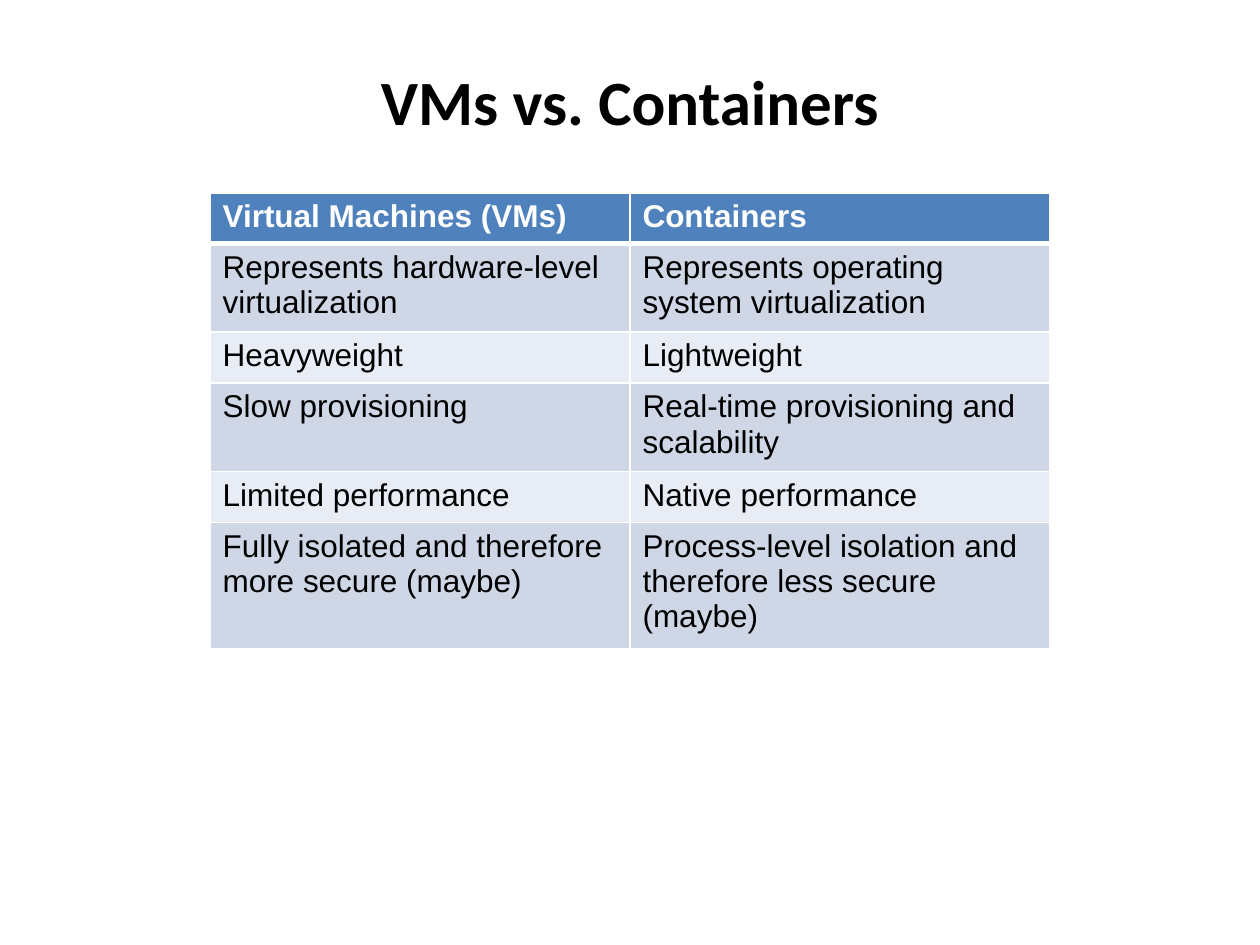
import pptx
import pptx.util
import pptx.dml.color
import pptx.enum.text
import pptx.oxml
import pptx.oxml.ns

WIDE, HIGH = 10, 7.5
WHITE, BLACK, BLUE = "FFFFFF", "000000", "4F81BD"
BANDS = ["CFD7E7", "E8ECF4"]
ROWS = [
    ("Virtual Machines (VMs)", "Containers"),
    ("Represents hardware-level virtualization",
     "Represents operating system virtualization"),
    ("Heavyweight", "Lightweight"),
    ("Slow provisioning", "Real-time provisioning and scalability"),
    ("Limited performance", "Native performance"),
    ("Fully isolated and therefore more secure (maybe)",
     "Process-level isolation and therefore less secure (maybe)"),
]


def tint(code):
    return pptx.dml.color.RGBColor.from_string(code)


def span(share, whole):
    return pptx.util.Inches(share * whole)


def write(para, text, face, size, code, bold):
    run = para.add_run()
    run.text = text
    font = run.font
    font.name, font.size, font.bold = face, pptx.util.Pt(size), bold
    font.color.rgb = tint(code)


def edge(cell, side, width):
    line = pptx.oxml.parse_xml(
        f'<a:ln{side} {pptx.oxml.ns.nsdecls("a")} w="{pptx.util.Pt(width)}">'
        f'<a:solidFill><a:srgbClr val="{WHITE}"/></a:solidFill></a:ln{side}>')
    cell._tc.get_or_add_tcPr().append(line)


def title(slide, text):
    box = slide.shapes.add_textbox(
        span(0.05, WIDE), span(0.023, HIGH), span(0.9, WIDE), span(1 / 6, HIGH))
    frame = box.text_frame
    frame.word_wrap = True
    frame.vertical_anchor = pptx.enum.text.MSO_ANCHOR.MIDDLE
    para = frame.paragraphs[0]
    para.alignment = pptx.enum.text.PP_ALIGN.CENTER
    write(para, text, "Calibri", 36, BLACK, True)


def fill(cell, text, row):
    head = row == 0
    edge(cell, "L", 1)
    edge(cell, "R", 1)
    edge(cell, "T", 3 if row == 1 else 1)
    edge(cell, "B", 3 if head else 1)
    cell.fill.solid()
    cell.fill.fore_color.rgb = tint(BLUE if head else BANDS[(row - 1) % 2])
    write(cell.text_frame.paragraphs[0], text, "Arial", 18,
          WHITE if head else BLACK, head)


def table(slide, rows):
    tall = span(0.054, HIGH)
    grid = slide.shapes.add_table(
        len(rows), len(rows[0]), span(1 / 6, WIDE), span(0.204, HIGH),
        span(2 / 3, WIDE), tall * len(rows)).table
    for r, texts in enumerate(rows):
        grid.rows[r].height = tall
        for c, text in enumerate(texts):
            fill(grid.cell(r, c), text, r)


def main():
    deck = pptx.Presentation()
    deck.slide_width, deck.slide_height = span(1, WIDE), span(1, HIGH)
    slide = deck.slides.add_slide(deck.slide_layouts[6])
    title(slide, "VMs vs. Containers")
    table(slide, ROWS)
    deck.save("out.pptx")


if __name__ == "__main__":
    main()
